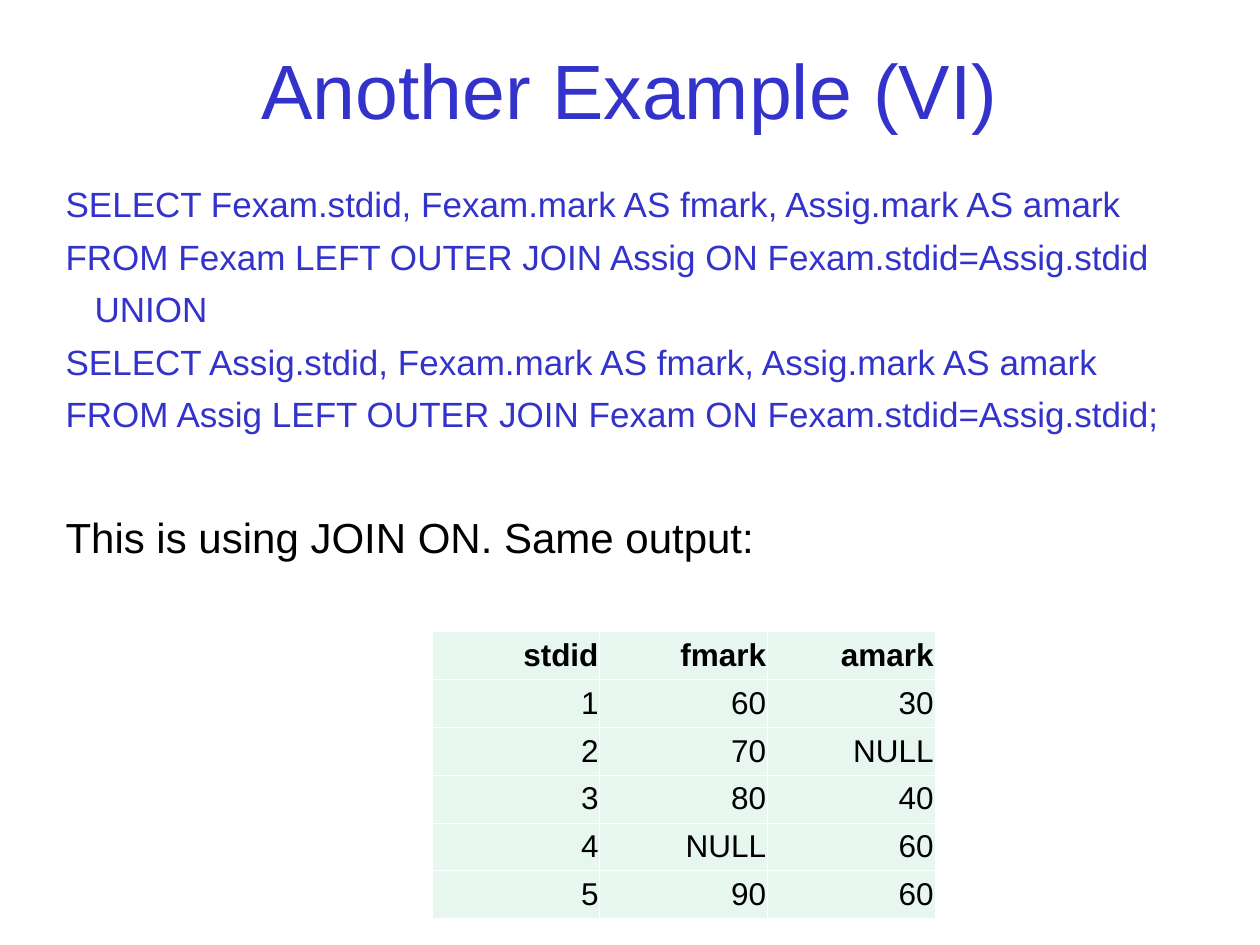
from lxml.etree import SubElement as Sub
from pptx import Presentation
from pptx.dml.color import RGBColor as RGB
from pptx.enum.text import MSO_ANCHOR as Anchor, MSO_AUTO_SIZE as Fit, PP_ALIGN as Align
from pptx.oxml.ns import qn
from pptx.util import Inches, Pt

# Content
TITLE = "Another Example (VI)"
QUERY = [  # text, left indent in inches
    ("SELECT Fexam.stdid, Fexam.mark AS fmark, Assig.mark AS amark", 0),
    ("FROM Fexam LEFT OUTER JOIN Assig ON Fexam.stdid=Assig.stdid", 0),
    ("UNION", 0.23),
    ("SELECT Assig.stdid, Fexam.mark AS fmark, Assig.mark AS amark", 0),
    ("FROM Assig LEFT OUTER JOIN Fexam ON Fexam.stdid=Assig.stdid;", 0),
]
NOTE = "This is using JOIN ON. Same output:"
ROWS = [
    ("stdid", "fmark", "amark"),
    ("1", "60", "30"),
    ("2", "70", "NULL"),
    ("3", "80", "40"),
    ("4", "NULL", "60"),
    ("5", "90", "60"),
]

THEME = dict(font="Arial", blue="3333CC", black="000000", mint="E7F6EF",
             rule="FFFFFF", title=44, code=20, note=24, cell=18)


def write(para, text, size, color, align=Align.LEFT, bold=False, before=0, indent=0):
    """Fill one paragraph with plain, unbulleted text."""
    para.alignment = align
    para.space_before = Pt(before)
    props = para._p.get_or_add_pPr()
    props.set("marL", str(Inches(indent)))
    props.set("indent", "0")
    Sub(props, qn("a:buNone"))
    run = para.add_run()
    run.text = text
    font = run.font
    font.name, font.size, font.bold = THEME["font"], Pt(THEME[size]), bold
    font.color.rgb = RGB.from_string(THEME[color])


def place(shape, left, top, width, height):
    shape.left, shape.top = Inches(left), Inches(top)
    shape.width, shape.height = Inches(width), Inches(height)
    frame = shape.text_frame
    frame.word_wrap, frame.auto_size = True, Fit.NONE
    return frame


def border(cell):
    props = cell._tc.get_or_add_tcPr()
    for side in ("lnL", "lnR", "lnT", "lnB"):
        line = Sub(props, qn("a:" + side), w=str(Pt(0.45)))
        fill = Sub(line, qn("a:solidFill"))
        Sub(fill, qn("a:srgbClr"), val=THEME["rule"])


deck = Presentation()
deck.slide_width, deck.slide_height = Inches(10), Inches(7.5)
slide = deck.slides.add_slide(deck.slide_layouts[1])

# Title
head = place(slide.shapes.title, 0.75, 0.33, 8.5, 0.75)
head.vertical_anchor = Anchor.MIDDLE
write(head.paragraphs[0], TITLE, "title", "blue", align=Align.CENTER)

# Query and note
body = place(slide.placeholders[1], 0.42, 1.4, 9.39, 5.5)
body.vertical_anchor = Anchor.TOP
for i, (text, indent) in enumerate(QUERY):
    para = body.add_paragraph() if i else body.paragraphs[0]
    write(para, text, "code", "blue", before=6, indent=indent)
write(body.add_paragraph(), NOTE, "note", "black", before=44)

# Result table
grid = slide.shapes.add_table(len(ROWS), len(ROWS[0]), Inches(3.43), Inches(5.01),
                              Inches(3.99), Inches(2.28)).table
for col in grid.columns:
    col.width = Inches(1.33)
for r, row in enumerate(ROWS):
    grid.rows[r].height = Inches(0.38)
    for c, text in enumerate(row):
        cell = grid.cell(r, c)
        cell.margin_left = cell.margin_right = Inches(0.01)
        cell.margin_top = cell.margin_bottom = Inches(0.05)
        cell.vertical_anchor = Anchor.BOTTOM
        border(cell)
        cell.fill.solid()
        cell.fill.fore_color.rgb = RGB.from_string(THEME["mint"])
        write(cell.text_frame.paragraphs[0], text, "cell", "black",
              align=Align.RIGHT, bold=r == 0)

deck.save("out.pptx")
